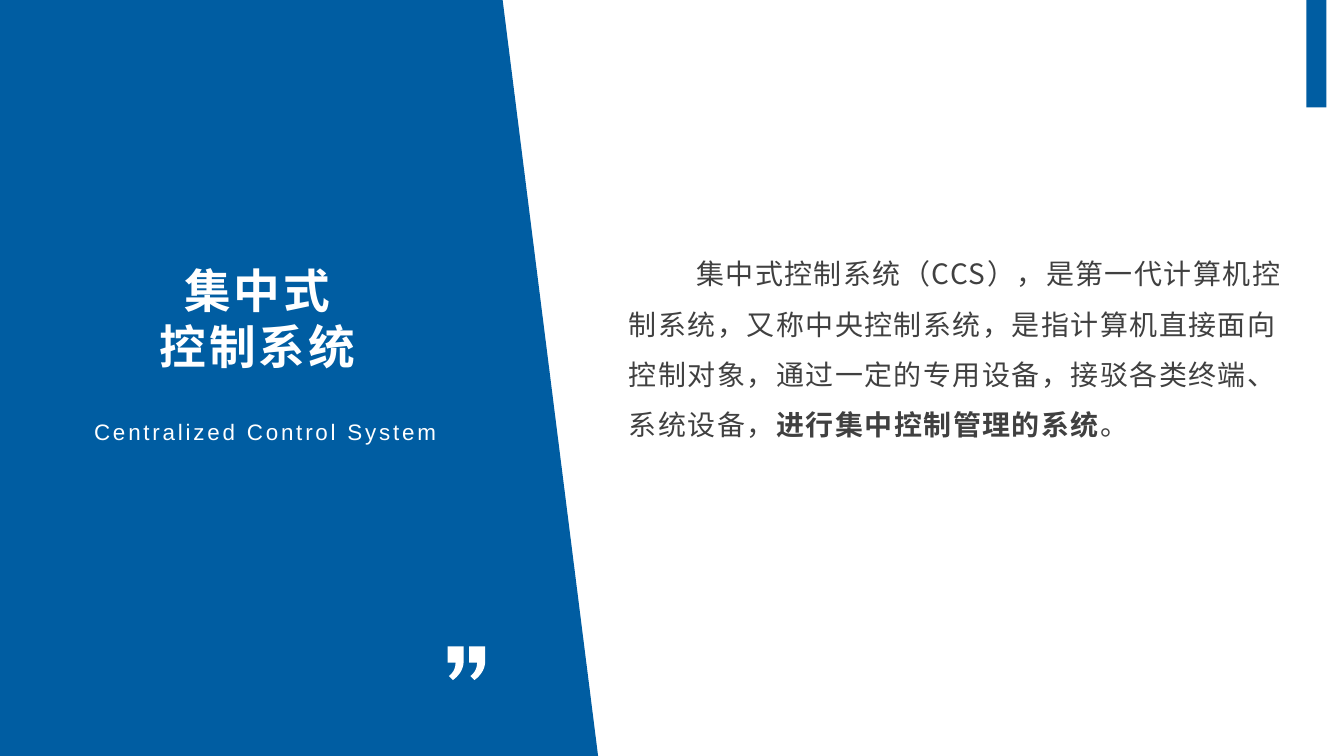
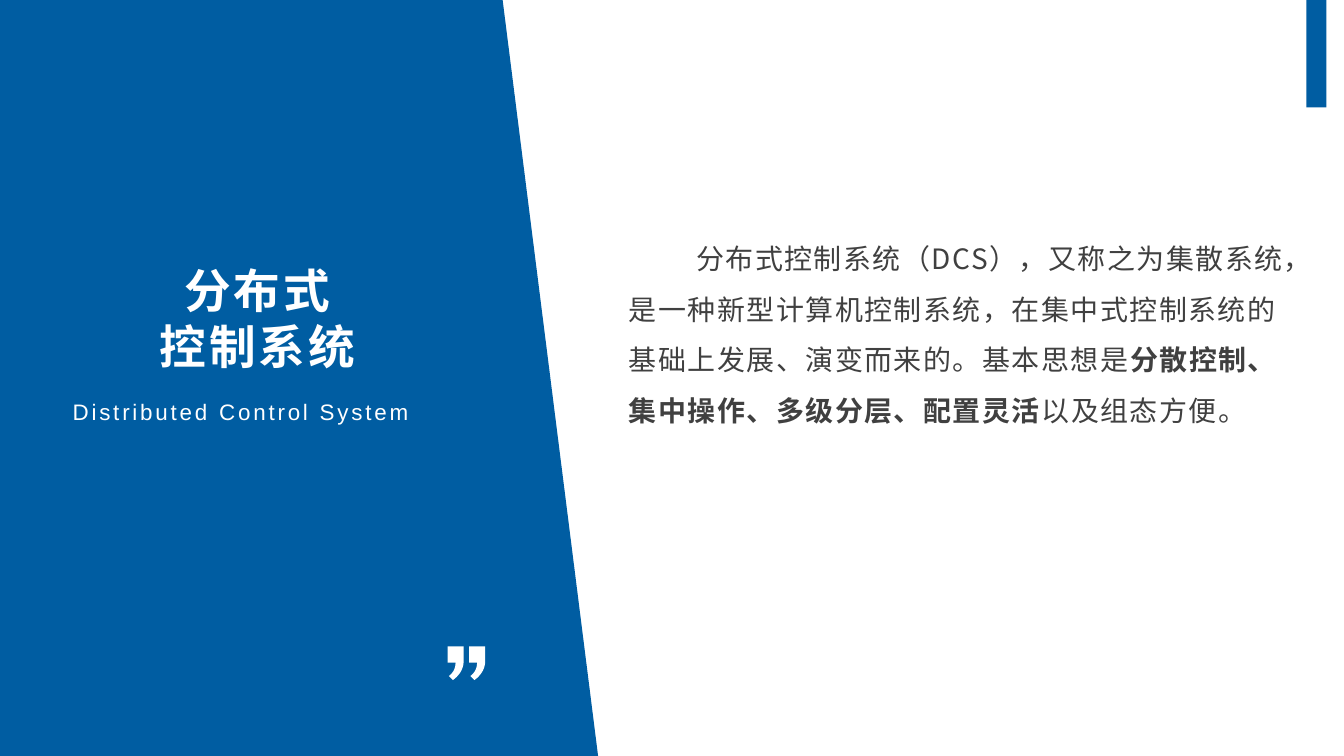
from lxml.etree import SubElement
from pptx import Presentation
from pptx.dml.color import RGBColor
from pptx.enum.shapes import MSO_SHAPE as Preset
from pptx.enum.text import MSO_ANCHOR as Anchor, MSO_AUTO_SIZE as AutoSize, PP_ALIGN as Align
from pptx.oxml.ns import qn
from pptx.util import Inches, Pt

WIDTH = 10
HEIGHT = WIDTH * 9 / 16
BLUE, WHITE, GREY = "005DA2", "FFFFFF", "404040"
LATIN, CJK = "Arial", "Noto Sans CJK SC"

# Quote mark relative to its top left corner
QUOTE_GAP = 0.16
TIP, NOTCH, SHOULDER = (0.04, 0.25), (0.01, 0.22), (0.12, 0.11)


def color(value):
    return RGBColor.from_string(value)


def curve(start, control_1, control_2, end, steps=10):
    """Points along a cubic curve, without its start."""
    corners = (start, control_1, control_2, end)
    points = []
    for step in range(1, steps + 1):
        t = step / steps
        weights = ((1 - t) ** 3, 3 * t * (1 - t) ** 2, 3 * t * t * (1 - t), t ** 3)
        points.append(tuple(sum(w * c[axis] for w, c in zip(weights, corners))
                            for axis in (0, 1)))
    return points


def quote_outline():
    return ([TIP, (0.03, 0.24), NOTCH]
            + curve(NOTCH, NOTCH, (0.06, 0.19), (0.06, 0.12))
            + [(0, 0.12), (0, 0), (0.12, 0), SHOULDER]
            + curve(SHOULDER, (0.12, 0.2), TIP, TIP))


class Deck:
    def __init__(self):
        self.prs = Presentation()
        self.prs.slide_width, self.prs.slide_height = Inches(WIDTH), Inches(HEIGHT)
        self.slide = None

    def new_slide(self):
        self.slide = self.prs.slides.add_slide(self.prs.slide_layouts[5])

    def paint(self, shape, fill):
        shape.shadow.inherit = False
        shape.fill.solid()
        shape.fill.fore_color.rgb = color(fill)
        shape.line.fill.background()

    def bar(self, left, top, width, height, fill):
        bar = self.slide.shapes.add_shape(
            Preset.RECTANGLE, Inches(left), Inches(top), Inches(width), Inches(height))
        self.paint(bar, fill)

    def outline(self, shapes, points, fill):
        points = [(Inches(x), Inches(y)) for x, y in points]
        builder = shapes.build_freeform(*points[0], scale=1.0)
        builder.add_line_segments(points[1:], close=True)
        self.paint(builder.convert_to_shape(), fill)

    def quotes(self, left, top):
        group = self.slide.shapes.add_group_shape()
        for number in (1, 0):
            start = left + number * QUOTE_GAP
            self.outline(group.shapes,
                         [(start + x, top + y) for x, y in quote_outline()], WHITE)

    def frame(self, shape, anchor):
        frame = shape.text_frame
        frame.word_wrap = True
        frame.auto_size = AutoSize.NONE
        frame.vertical_anchor = anchor
        frame.margin_left = frame.margin_right = Inches(0.07)
        frame.margin_top = frame.margin_bottom = Inches(0.04)
        return frame

    def text_box(self, left, top, width, height, anchor=Anchor.TOP):
        box = self.slide.shapes.add_textbox(
            Inches(left), Inches(top), Inches(width), Inches(height))
        return self.frame(box, anchor)

    def style(self, run, size, fill, spacing, bold=False, latin=LATIN):
        run.font.size, run.font.bold, run.font.name = Pt(size), bold, latin
        run.font.color.rgb = color(fill)
        properties = run._r.get_or_add_rPr()
        properties.set("spc", str(round(spacing * 100)))
        SubElement(properties, qn("a:ea")).set("typeface", CJK)

    def title(self, text):
        title = self.slide.shapes.title
        title.left, title.top = Inches(0.47), Inches(1.09)
        title.width, title.height = Inches(2.89), Inches(1.73)
        # Bring the title in front of the panel
        title.element.getparent().append(title.element)
        frame = self.frame(title, Anchor.BOTTOM)
        frame.text = text
        for paragraph in frame.paragraphs:
            paragraph.alignment = Align.CENTER
            paragraph.line_spacing = 1.0
            self.style(paragraph.runs[0], 25, WHITE, 1.6, bold=True)

    def subtitle(self, text, left, top):
        paragraph = self.text_box(left, top, 2.89, 0.37).paragraphs[0]
        paragraph.text = text
        paragraph.line_spacing = 1.2
        self.style(paragraph.runs[0], 12, WHITE, 1.5)

    def definition(self, parts, top, height):
        """Indented paragraph; the middle part is emphasised."""
        paragraph = self.text_box(4.61, top, 5.03, height, Anchor.MIDDLE).paragraphs[0]
        paragraph.line_spacing = 1.5
        paragraph.space_after = Pt(8)
        paragraph._p.get_or_add_pPr().set("indent", str(Inches(0.5)))
        for number, part in enumerate(parts):
            run = paragraph.add_run()
            run.text = part
            self.style(run, 15, GREY, 0.8, bold=number == 1, latin=CJK)


SYSTEMS = [
    {
        "title": "集中式\n控制系统",
        "subtitle": ("Centralized Control System", 0.63, 3.03),
        "definition": ((
            "集中式控制系统（CCS），是第一代计算机控制系统，又称中央控制系统，"
            "是指计算机直接面向控制对象，通过一定的专用设备，接驳各类终端、系统设备，",
            "进行集中控制管理的系统",
            "。",
        ), 1.06, 2.95),
    },
    {
        "title": "分布式\n控制系统",
        "subtitle": ("Distributed Control System", 0.47, 2.88),
        "definition": ((
            "分布式控制系统（DCS），又称之为集散系统，是一种新型计算机控制系统，"
            "在集中式控制系统的基础上发展、演变而来的。基本思想是",
            "分散控制、集中操作、多级分层、配置灵活",
            "以及组态方便。",
        ), 1.02, 2.81),
    },
]


def main():
    deck = Deck()
    for system in SYSTEMS:
        deck.new_slide()
        # Slanted panel with the system's name
        deck.outline(deck.slide.shapes,
                     [(0, 0), (3.74, 0), (4.45, HEIGHT), (0, HEIGHT)], BLUE)
        deck.subtitle(*system["subtitle"])
        deck.title(system["title"])
        # Definition on the right
        deck.definition(*system["definition"])
        # Corner bar and closing quotes
        deck.bar(9.72, 0, 0.15, 0.8, BLUE)
        deck.quotes(3.33, 4.81)
    deck.prs.save("out.pptx")


if __name__ == "__main__":
    main()
